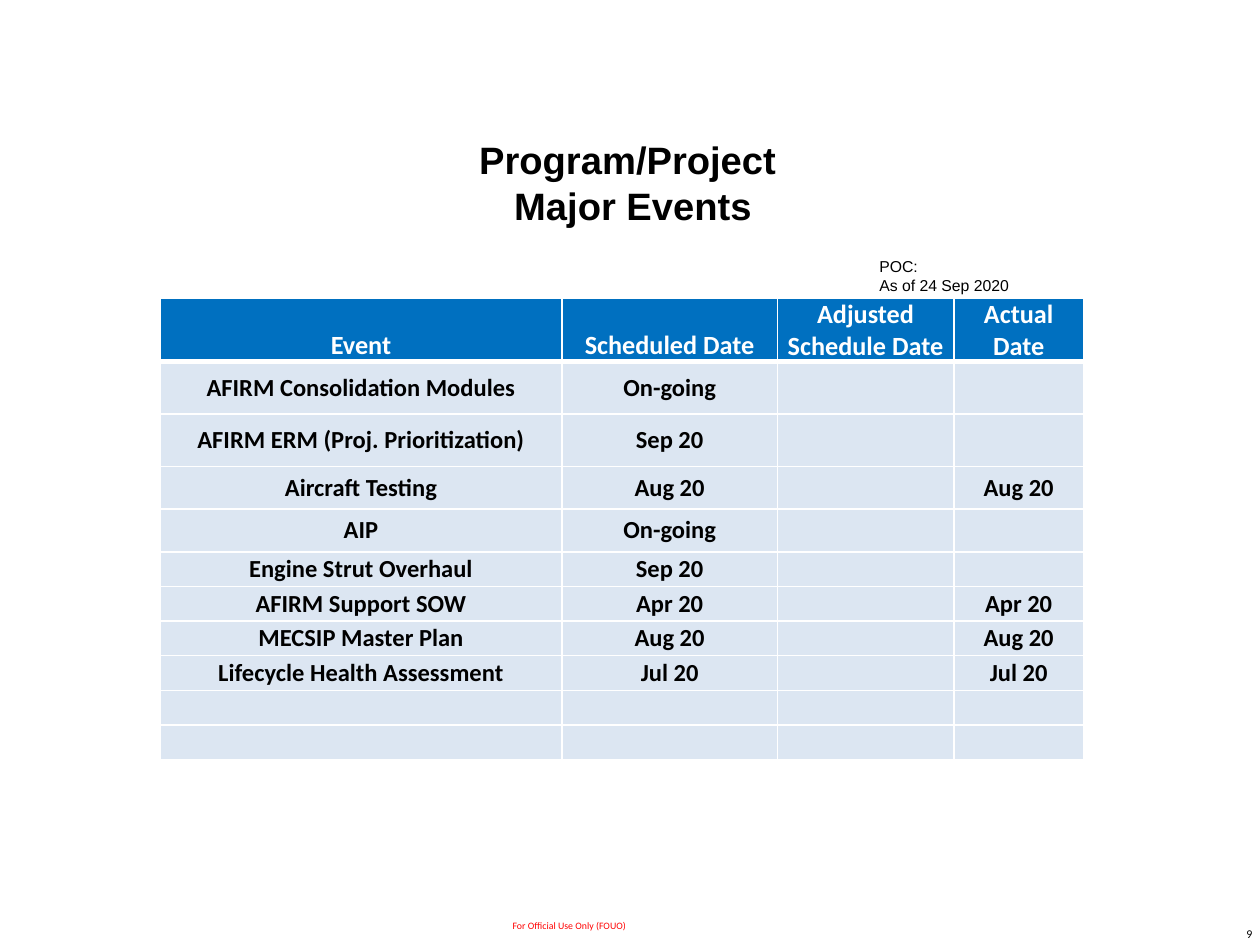
"""Build a slide with a table of the major events of a program."""
from lxml import etree
from pptx import Presentation
from pptx.dml.color import RGBColor
from pptx.enum.text import MSO_ANCHOR, PP_ALIGN
from pptx.oxml.ns import qn
from pptx.util import Inches, Pt

LEFT, CENTER, RIGHT = PP_ALIGN.LEFT, PP_ALIGN.CENTER, PP_ALIGN.RIGHT
TOP, MIDDLE, BOTTOM = MSO_ANCHOR.TOP, MSO_ANCHOR.MIDDLE, MSO_ANCHOR.BOTTOM
COLORS = {"black": "000000", "white": "FFFFFF", "red": "FF0000", "header": "0070C0", "body": "DCE6F2"}

deck = Presentation()
deck.slide_width, deck.slide_height = Inches(10), Inches(7.5)
page = deck.slides.add_slide(deck.slide_layouts[6])
COLUMN, ROW = deck.slide_width / 100, deck.slide_height / 75


def add_span(para, text, font, size, color, bold=False):
    span = para.add_run()
    span.text = text
    span.font.name, span.font.size, span.font.bold = font, Pt(size), bold
    span.font.color.rgb = RGBColor.from_string(COLORS[color])


def add_text(place, insets, paragraphs, font, size, color, align=LEFT, anchor=TOP, bold=False, wrap=True):
    left, top, width, height = place
    box = page.shapes.add_textbox(int(left * COLUMN), int(top * ROW), int(width * COLUMN), int(height * ROW))
    frame = box.text_frame
    frame.word_wrap, frame.vertical_anchor = wrap, anchor
    frame.margin_left = frame.margin_right = int(insets[0] * COLUMN)
    frame.margin_top, frame.margin_bottom = int(insets[1] * ROW), int(insets[2] * ROW)
    for index, lines in enumerate(paragraphs):
        para = frame.add_paragraph() if index else frame.paragraphs[0]
        para.alignment = align
        for number, line in enumerate(lines):
            if number:
                para.add_line_break()
            add_span(para, line, font, size, color, bold)


add_text((79.2, 70, 20.8, 5), (0.6, 0.3, 0.3), [["9"]], "Calibri", 6.8, "black", RIGHT, BOTTOM)
add_text((39.7, 72.5, 11.3, 2), (1, 0.5, 0.5), [["For Official Use Only (FOUO)"]], "Calibri", 5.6, "red", wrap=False)
add_text((16.5, 11.4, 67.5, 9.4), (1, 0, 3.3), [["Program/Project ", "Major Events"]],
         "Arial", 21.8, "black", CENTER, MIDDLE, bold=True)

events = [
    ("Event", "Scheduled Date", "Adjusted Schedule Date", "Actual Date"),
    ("AFIRM Consolidation Modules", "On-going", "", ""),
    ("AFIRM ERM (Proj. Prioritization)", "Sep 20", "", ""),
    ("Aircraft Testing", "Aug 20", "", "Aug 20"),
    ("AIP", "On-going", "", ""),
    ("Engine Strut Overhaul", "Sep 20", "", ""),
    ("AFIRM Support SOW", "Apr 20", "", "Apr 20"),
    ("MECSIP Master Plan", "Aug 20", "", "Aug 20"),
    ("Lifecycle Health Assessment", "Jul 20", "", "Jul 20"),
    ("", "", "", ""),
    ("", "", "", ""),
]
column_widths = [31.9, 17.1, 14, 10.3]
row_heights = [5] + [4.15] * 2 + [3.4] * 2 + [2.75] * 6

table = page.shapes.add_table(
    len(events), len(column_widths), int(12.7 * COLUMN), int(23.7 * ROW),
    int(sum(column_widths) * COLUMN), int(sum(row_heights) * ROW)).table
for column, width in zip(table.columns, column_widths):
    column.width = int(width * COLUMN)

for row_index, (event, height) in enumerate(zip(events, row_heights)):
    table.rows[row_index].height = int(height * ROW)
    header = row_index == 0
    size, ink, fill = (15, "white", "header") if header else (14, "black", "body")
    borders = {"a:lnL": 1, "a:lnR": 1, "a:lnT": 3 if row_index == 1 else 1, "a:lnB": 3 if header else 1}
    for column_index, text in enumerate(event):
        cell = table.cell(row_index, column_index)
        cell.margin_left = cell.margin_right = int(0.4 * COLUMN)
        cell.margin_top = cell.margin_bottom = 0
        cell.vertical_anchor = BOTTOM if header else MIDDLE
        para = cell.text_frame.paragraphs[0]
        para.alignment = CENTER
        if text:
            add_span(para, text, "Calibri", size, ink, bold=True)
        else:
            etree.SubElement(para._p, qn("a:endParaRPr"), sz=str(size * 100))
        properties = cell._tc.get_or_add_tcPr()
        for tag, points in borders.items():
            line = etree.SubElement(properties, qn(tag), w=str(Pt(points)))
            etree.SubElement(etree.SubElement(line, qn("a:solidFill")), qn("a:srgbClr"), val=COLORS["white"])
        cell.fill.solid()
        cell.fill.fore_color.rgb = RGBColor.from_string(COLORS[fill])

add_text((68.8, 19.9, 15.2, 4), (1, 0.5, 0.5), [["POC:"], ["As of 24 Sep 2020"]], "Arial", 9, "black")

deck.save("out.pptx")
